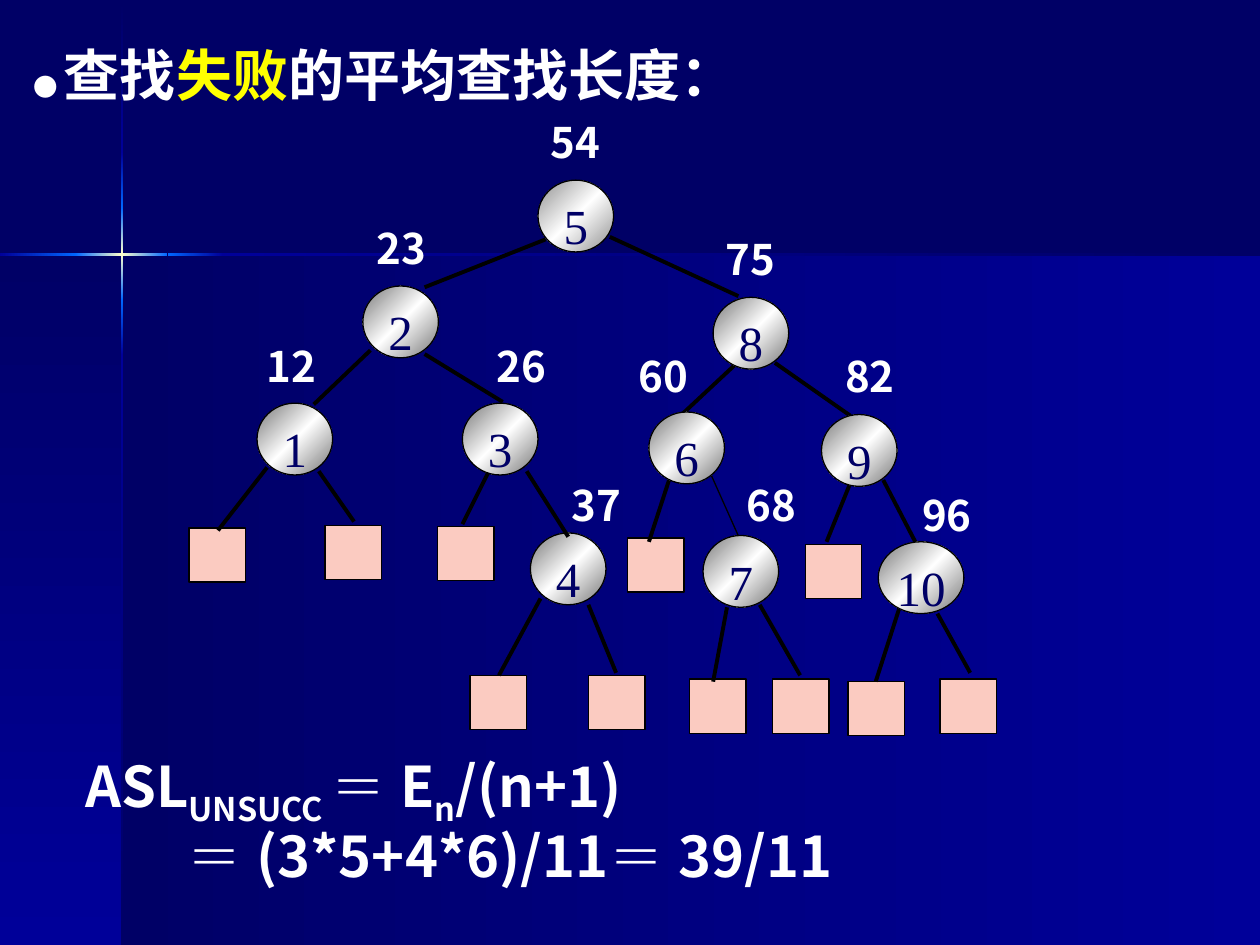
from copy import deepcopy
from typing import NamedTuple

from lxml import etree
from pptx import Presentation
from pptx.dml.color import RGBColor
from pptx.enum.shapes import MSO_CONNECTOR, MSO_SHAPE
from pptx.enum.text import MSO_ANCHOR, PP_ALIGN
from pptx.oxml.ns import qn
from pptx.util import Inches, Pt

SANS = "Noto Sans CJK SC"
SERIF = "Times New Roman"
NAVY, BLUE, BRIGHT, GLOW = "000066", "000099", "0066FF", "FFFFCC"
WHITE, YELLOW, BLACK, PINK = "FFFFFF", "FFFF00", "000000", "FBCBC1"
ACROSS, DOWN, DIAGONAL = 0, 90, 45


class Panel(NamedTuple):
    left: float
    top: float
    width: float
    height: float
    colors: tuple[str, ...]
    angle: int


class Node(NamedTuple):
    key: str
    left: float
    top: float
    value: str
    value_left: float
    value_top: float
    width: float = 0.6
    edge_color: str = "767676"


class Edge(NamedTuple):
    x1: float
    y1: float
    x2: float
    y2: float
    weight: float = 2.25


PANELS = [
    Panel(0.97, 2.02, 9.03, 5.48, (NAVY, BLUE), ACROSS),
    Panel(0, 2.02, 0.97, 5.48, (NAVY, BLUE), DOWN),
    Panel(0.96, 0.01, 0.02, 1.2, (NAVY, BLUE), DOWN),
    Panel(0.96, 2.82, 0.02, 4.68, (BLUE, NAVY), DOWN),
    Panel(1.77, 2.01, 8.23, 0.02, (BLUE, NAVY), ACROSS),
    Panel(0.96, 2.38, 0.02, 0.44, (BRIGHT, BLUE), DOWN),
    Panel(0.96, 1.21, 0.02, 0.44, (BLUE, BRIGHT), DOWN),
    Panel(0.96, 1.65, 0.02, 0.73, (BRIGHT, GLOW, BRIGHT), DOWN),
    Panel(0, 2.01, 0.61, 0.02, (BLUE, BRIGHT), ACROSS),
    Panel(1.33, 2.01, 0.44, 0.02, (BRIGHT, BLUE), ACROSS),
    Panel(0.6, 2.01, 0.73, 0.02, (BRIGHT, GLOW, BRIGHT), ACROSS),
]

# Node 4 lies behind the edges, all others in front of them.
BACK_NODE = Node("4", 4.21, 4.23, "37", 4.44, 3.8)
FRONT_NODES = [
    Node("5", 4.27, 1.43, "54", 4.27, 0.92, edge_color="909090"),
    Node("2", 2.88, 2.27, "23", 2.89, 1.76),
    Node("8", 5.66, 2.36, "75", 5.66, 1.85),
    Node("1", 2.04, 3.2, "12", 2.02, 2.7),
    Node("3", 3.67, 3.2, "26", 3.84, 2.7),
    Node("6", 5.15, 3.27, "60", 4.97, 2.78),
    Node("9", 6.52, 3.29, "82", 6.61, 2.78),
    Node("7", 5.58, 4.25, "68", 5.83, 3.8),
    Node("10", 6.97, 4.3, "96", 7.22, 3.88, width=0.68),
]

FAILURE_LEAVES = [
    (4.98, 4.27), (3.47, 4.18), (6.39, 4.32), (7.46, 5.39), (2.58, 4.17), (1.5, 4.19),
    (3.73, 5.36), (4.67, 5.36), (5.47, 5.39), (6.13, 5.39), (6.73, 5.41),
]

EDGES = [
    Edge(4.84, 1.88, 5.86, 2.35), Edge(4.33, 1.9, 3.37, 2.28),
    Edge(2.94, 2.78, 2.49, 3.21), Edge(3.37, 2.81, 3.99, 3.19),
    Edge(5.85, 2.88, 5.4, 3.3), Edge(6.15, 2.88, 6.75, 3.3),
    Edge(2.12, 3.71, 1.73, 4.21), Edge(2.53, 3.74, 2.81, 4.14),
    Edge(3.88, 3.74, 3.67, 4.16), Edge(4.18, 3.74, 4.51, 4.26),
    Edge(5.32, 3.78, 5.15, 4.3), Edge(5.64, 3.76, 5.89, 4.32, 0.75),
    Edge(6.75, 3.83, 6.56, 4.3), Edge(7.01, 3.81, 7.29, 4.35),
    Edge(4.29, 4.75, 3.96, 5.36), Edge(4.67, 4.8, 4.89, 5.34),
    Edge(5.77, 4.82, 5.66, 5.41), Edge(6.03, 4.8, 6.35, 5.36),
    Edge(7.14, 4.82, 6.95, 5.41), Edge(7.44, 4.87, 7.7, 5.34),
]


def rgb(color: str) -> RGBColor:
    return RGBColor.from_string(color)


def fill_gradient(shape, colors: tuple[str, ...], angle: int) -> None:
    """Fill with evenly spaced stops; the angle runs clockwise."""
    fill = shape.fill
    fill.gradient()
    fill.gradient_angle = -angle % 360
    stop_list = shape._element.spPr.find(qn("a:gradFill")).find(qn("a:gsLst"))
    for _ in colors[2:]:
        stop_list.append(deepcopy(stop_list[-1]))
    for index, (stop, color) in enumerate(zip(fill.gradient_stops, colors)):
        stop.color.rgb = rgb(color)
        stop.position = index / (len(colors) - 1)


def add_outlined(slide, kind, left: float, top: float, width: float, height: float,
                 outlined: bool = True):
    shape = slide.shapes.add_shape(kind, Inches(left), Inches(top), Inches(width), Inches(height))
    shape.shadow.inherit = False
    if outlined:
        shape.line.color.rgb = rgb(BLACK)
        shape.line.width = Pt(0.75)
    else:
        shape.line.fill.background()
    return shape


def add_run(paragraph, text: str, *, size: float = 32, font: str = SANS, color: str = WHITE,
            bold: bool = True, baseline: int = 0) -> None:
    """Append formatted text; baseline is a shift in percent."""
    run = paragraph.add_run()
    run.text = text
    run.font.size = Pt(size)
    run.font.name = font
    run.font.bold = bold
    run.font.color.rgb = rgb(color)
    properties = run.font._element
    etree.SubElement(properties, qn("a:ea")).set("typeface", font)
    if baseline:
        properties.set("baseline", str(baseline * 1000))


def add_text_box(slide, left: float, top: float, width: float, height: float):
    box = slide.shapes.add_textbox(Inches(left), Inches(top), Inches(width), Inches(height))
    frame = box.text_frame
    frame.word_wrap = True
    frame.paragraphs[0].line_spacing = 0.9
    return frame


def add_node(slide, node: Node) -> None:
    ellipse = add_outlined(slide, MSO_SHAPE.OVAL, node.left, node.top, node.width, 0.57)
    fill_gradient(ellipse, (node.edge_color, WHITE, node.edge_color), DIAGONAL)
    frame = ellipse.text_frame
    frame.vertical_anchor = MSO_ANCHOR.TOP
    frame.margin_left = frame.margin_right = Inches(0.02)
    frame.margin_top, frame.margin_bottom = Inches(0.04), Inches(0.01)
    paragraph = frame.paragraphs[0]
    paragraph.alignment = PP_ALIGN.CENTER
    add_run(paragraph, node.key, size=28, font=SERIF, color=NAVY, bold=False)


def add_edge(slide, edge: Edge) -> None:
    line = slide.shapes.add_connector(MSO_CONNECTOR.STRAIGHT, Inches(edge.x1), Inches(edge.y1),
                                      Inches(edge.x2), Inches(edge.y2))
    line.line.color.rgb = rgb(BLACK)
    line.line.width = Pt(edge.weight)
    etree.SubElement(line._element.spPr, qn("a:effectLst"))


def add_title(slide) -> None:
    frame = add_text_box(slide, 0.17, 0.33, 9.5, 0.75)
    paragraph = frame.paragraphs[0]
    add_run(paragraph, "● ", size=14)
    add_run(paragraph, "查找")
    add_run(paragraph, "失败", color=YELLOW)
    add_run(paragraph, "的平均查找长度：")


def add_formula(slide) -> None:
    frame = add_text_box(slide, 0.58, 5.92, 8.33, 1.22)
    general = frame.paragraphs[0]
    add_run(general, "ASL")
    add_run(general, "UNSUCC ", baseline=-25)
    add_run(general, "＝ ", font=SERIF)
    add_run(general, "E")
    add_run(general, "n", baseline=-25)
    add_run(general, "/(n+1)")
    result = frame.add_paragraph()
    result.line_spacing = 0.9
    result.space_before = Pt(4.6)
    result._p.get_or_add_pPr().set("marL", str(Inches(0.8)))
    for value in ("(3*5+4*6)/11", "39/11"):
        add_run(result, "＝ ", font=SERIF)
        add_run(result, value)


def main() -> None:
    presentation = Presentation()
    presentation.slide_width, presentation.slide_height = Inches(10), Inches(7.5)
    slide = presentation.slides.add_slide(presentation.slide_layouts[6])
    slide.background.fill.solid()
    slide.background.fill.fore_color.rgb = rgb(NAVY)
    for panel in PANELS:
        shape = add_outlined(slide, MSO_SHAPE.RECTANGLE, *panel[:4], outlined=False)
        fill_gradient(shape, panel.colors, panel.angle)
    add_title(slide)
    add_node(slide, BACK_NODE)
    for left, top in FAILURE_LEAVES:
        leaf = add_outlined(slide, MSO_SHAPE.RECTANGLE, left, top, 0.45, 0.43)
        leaf.fill.solid()
        leaf.fill.fore_color.rgb = rgb(PINK)
    for edge in EDGES:
        add_edge(slide, edge)
    for node in FRONT_NODES:
        add_node(slide, node)
    for node in [BACK_NODE, *FRONT_NODES]:
        frame = add_text_box(slide, node.value_left, node.value_top, 0.61, 0.5)
        add_run(frame.paragraphs[0], node.value, size=24)
    add_formula(slide)
    presentation.save("out.pptx")


if __name__ == "__main__":
    main()
